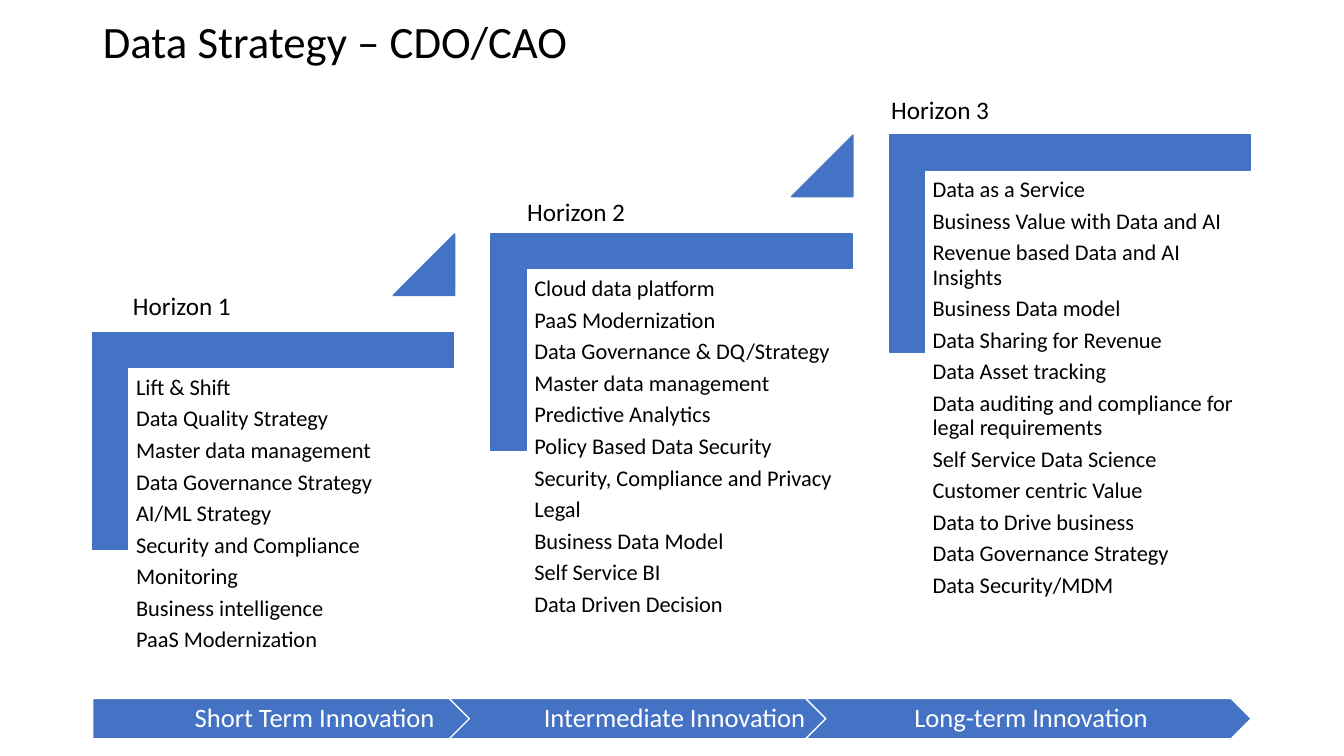
from pptx import Presentation
from pptx.dml.color import RGBColor
from pptx.enum.shapes import MSO_SHAPE
from pptx.enum.text import MSO_ANCHOR, MSO_AUTO_SIZE, PP_ALIGN
from pptx.util import Inches, Pt

BLUE = RGBColor(0x44, 0x72, 0xC4)
BLACK = RGBColor(0, 0, 0)
WHITE = RGBColor(0xFF, 0xFF, 0xFF)
FONT = "Calibri"

# Each horizon: label, label offset from its bracket (x, y), initiatives
HORIZONS = [
    ("Horizon 1", (0.30, -0.47), [
        "Lift & Shift", "Data Quality Strategy", "Master data management",
        "Data Governance Strategy", "AI/ML Strategy", "Security and Compliance",
        "Monitoring", "Business intelligence", "PaaS Modernization"]),
    ("Horizon 2", (0.26, -0.42), [
        "Cloud data platform", "PaaS Modernization", "Data Governance & DQ/Strategy",
        "Master data management", "Predictive Analytics", "Policy Based Data Security",
        "Security, Compliance and Privacy", "Legal", "Business Data Model",
        "Self Service BI", "Data Driven Decision"]),
    ("Horizon 3", (-0.08, -0.45), [
        "Data as a Service", "Business Value with Data and AI",
        "Revenue based Data and AI Insights", "Business Data model",
        "Data Sharing for Revenue", "Data Asset tracking",
        "Data auditing and compliance for legal requirements",
        "Self Service Data Science", "Customer centric Value",
        "Data to Drive business", "Data Governance Strategy", "Data Security/MDM"]),
]
PHASES = ["Short Term Innovation", "Intermediate Innovation", "Long-term Innovation"]


def write(frame, lines, size, color, align=PP_ALIGN.LEFT, spacing=None, after=None):
    frame.word_wrap = True
    for index, line in enumerate(lines):
        paragraph = frame.paragraphs[0] if index == 0 else frame.add_paragraph()
        paragraph.alignment = align
        paragraph.line_spacing = spacing
        paragraph.space_after = after
        run = paragraph.add_run()
        run.text = line
        run.font.name = FONT
        run.font.size = Pt(size)
        run.font.color.rgb = color


def set_insets(frame, left, top, right, bottom):
    frame.margin_left, frame.margin_top = Inches(left), Inches(top)
    frame.margin_right, frame.margin_bottom = Inches(right), Inches(bottom)


def add_blue_shape(slide, preset, left, top, width, height, outline=BLUE):
    shape = slide.shapes.add_shape(
        preset, Inches(left), Inches(top), Inches(width), Inches(height))
    shape.shadow.inherit = False
    shape.fill.solid()
    shape.fill.fore_color.rgb = BLUE
    shape.line.color.rgb = outline
    shape.line.width = Pt(1)
    return shape


def add_text_box(slide, left, top, width, height):
    return slide.shapes.add_textbox(
        Inches(left), Inches(top), Inches(width), Inches(height)).text_frame


def add_title(slide, left, top, width, height):
    title = slide.shapes.title
    title.left, title.top = Inches(left), Inches(top)
    title.width, title.height = Inches(width), Inches(height)
    title.text_frame.auto_size = MSO_AUTO_SIZE.NONE
    title.text_frame.vertical_anchor = MSO_ANCHOR.MIDDLE
    write(title.text_frame, ["Data Strategy – CDO/CAO"], 32, BLACK, spacing=0.9)


def add_horizon(slide, left, top, width, height, label, label_offset, initiatives):
    # Bracket: a corner turned a quarter, so its sides are swapped around the centre
    bracket = add_blue_shape(
        slide, MSO_SHAPE.CORNER, left + (width - height) / 2,
        top + (height - width) / 2, height, width)
    bracket.rotation = 90
    bracket.adjustments[0] = bracket.adjustments[1] = 0.161

    # Initiatives
    listing = add_text_box(slide, left + 0.36, top + 0.36, 3.23, 2.83)
    set_insets(listing, 0.07, 0.07, 0.07, 0.07)
    write(listing, initiatives, 16, BLACK, spacing=0.9, after=Pt(5.3))

    # Horizon name
    dx, dy = label_offset
    write(add_text_box(slide, left + dx, top + dy, 1.54, 0.4), [label], 18, BLACK)


def add_step_up(slide, left, top, size):
    triangle = add_blue_shape(
        slide, MSO_SHAPE.ISOSCELES_TRIANGLE, left, top, size, size)
    triangle.adjustments[0] = 1


def add_timeline(slide, left, top, width, height):
    phase_width = 4.42
    pitch = (width - phase_width) / (len(PHASES) - 1)
    for index, phase in enumerate(PHASES):
        preset = MSO_SHAPE.CHEVRON if index else MSO_SHAPE.PENTAGON
        arrow = add_blue_shape(
            slide, preset, left + index * pitch, top, phase_width, height, WHITE)
        frame = arrow.text_frame
        frame.vertical_anchor = MSO_ANCHOR.MIDDLE
        set_insets(frame, 0.08 if index else 0.11, 0.06, 0.03, 0.06)
        write(frame, [phase], 19, WHITE, PP_ALIGN.CENTER, spacing=0.9)


def build_slide(presentation):
    slide = presentation.slides.add_slide(presentation.slide_layouts[5])
    add_title(slide, 0.92, 0.18, 11.5, 0.51)

    # Staircase of horizons, with a triangle between neighbours
    step_x, step_y = 3.95, 0.98
    for index, horizon in enumerate(HORIZONS):
        left, top = 0.92 + index * step_x, 3.3 - index * step_y
        add_horizon(slide, left, top, 3.58, 2.15, *horizon)
        if index < len(HORIZONS) - 1:
            add_step_up(slide, left + 2.98, top - step_y, 0.61)

    add_timeline(slide, 0.92, 6.93, 11.49, 0.4)


presentation = Presentation()
presentation.slide_width = Inches(13.33)
presentation.slide_height = Inches(7.5)
build_slide(presentation)
presentation.save("out.pptx")
